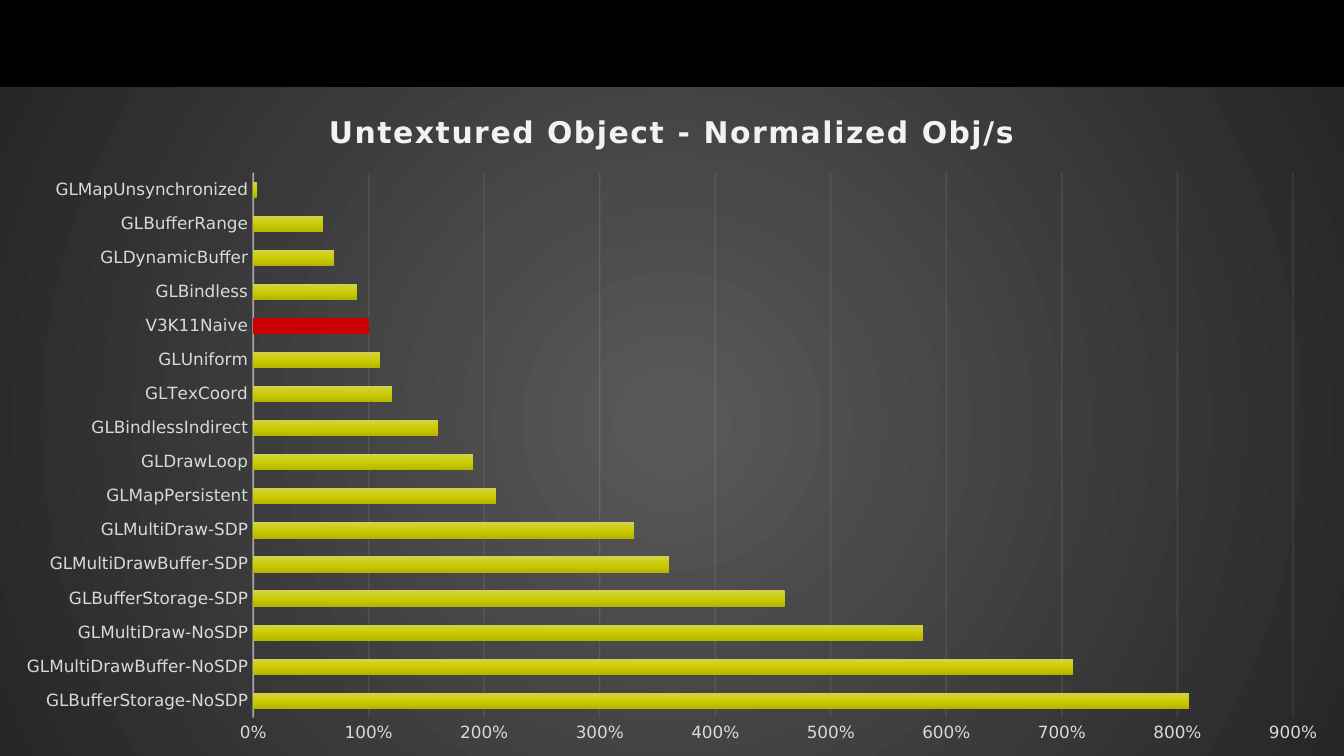
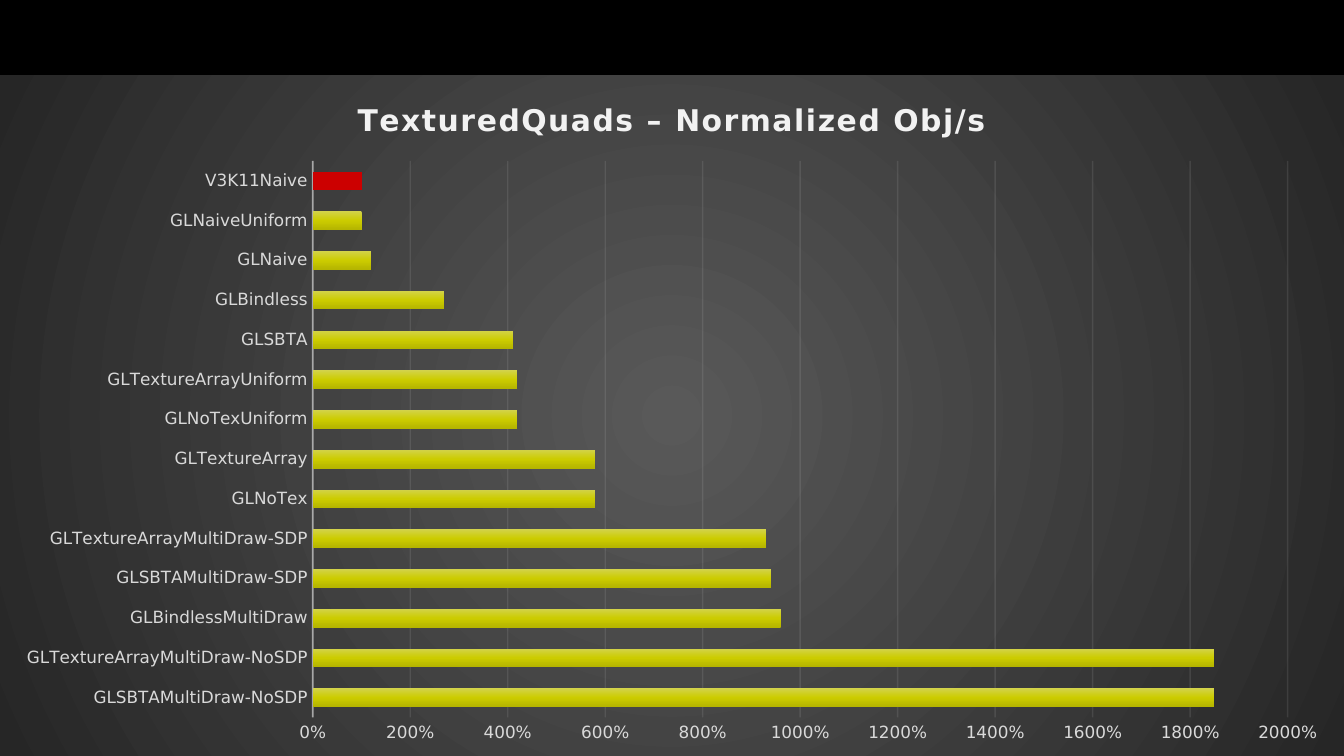
import lxml.etree
import pptx
import pptx.chart.data
import pptx.dml.color
import pptx.enum.chart
import pptx.oxml
import pptx.oxml.ns
import pptx.util

Cm = pptx.util.Cm
Pt = pptx.util.Pt
FONT = "DejaVu Sans"
COLOURS = {
    "backdrop": "000000", "text": "000000", "title": "F2F2F2", "label": "D9D9D9",
    "line": "F2F2F2", "baseline": "CC0000", "panel_centre": "595959",
    "panel_edge": "262626", "bar_top": "D3D34B", "bar_middle": "CCCC00",
    "bar_bottom": "B5B500",
}
SLIDE_WIDTH, SLIDE_HEIGHT = 25.4, 14.29
BASELINE = "V3K11Naive"

# Each entry: chart top in cm, axis maximum and step, results from bottom to top
BENCHMARKS = [
    {"title": "Untextured Object - Normalized Obj/s", "top": 1.65,
     "maximum": 9, "step": 1,
     "results": {
         "GLBufferStorage-NoSDP": 8.1, "GLMultiDrawBuffer-NoSDP": 7.1,
         "GLMultiDraw-NoSDP": 5.8, "GLBufferStorage-SDP": 4.6,
         "GLMultiDrawBuffer-SDP": 3.6, "GLMultiDraw-SDP": 3.3,
         "GLMapPersistent": 2.1, "GLDrawLoop": 1.9, "GLBindlessIndirect": 1.6,
         "GLTexCoord": 1.2, "GLUniform": 1.1, BASELINE: 1, "GLBindless": 0.9,
         "GLDynamicBuffer": 0.7, "GLBufferRange": 0.6, "GLMapUnsynchronized": 0.03}},
    {"title": "TexturedQuads – Normalized Obj/s", "top": 1.42,
     "maximum": 20, "step": 2,
     "results": {
         "GLSBTAMultiDraw-NoSDP": 18.5, "GLTextureArrayMultiDraw-NoSDP": 18.5,
         "GLBindlessMultiDraw": 9.6, "GLSBTAMultiDraw-SDP": 9.4,
         "GLTextureArrayMultiDraw-SDP": 9.3, "GLNoTex": 5.8, "GLTextureArray": 5.8,
         "GLNoTexUniform": 4.2, "GLTextureArrayUniform": 4.2, "GLSBTA": 4.1,
         "GLBindless": 2.7, "GLNaive": 1.2, "GLNaiveUniform": 1, BASELINE: 1}},
]


def rgb(name):
    return pptx.dml.color.RGBColor.from_string(COLOURS[name])


def style_font(font, size, colour, bold=False):
    font.name, font.size, font.bold = FONT, Pt(size), bold
    font.color.rgb = rgb(colour)


def gradient(names, direction):
    """Return a gradient fill with evenly spaced colours."""
    stops = "".join(
        f'<a:gs pos="{100000 * i // (len(names) - 1)}">'
        f'<a:srgbClr val="{COLOURS[name]}"/></a:gs>'
        for i, name in enumerate(names))
    return pptx.oxml.parse_xml(
        f'<a:gradFill {pptx.oxml.ns.nsdecls("a")} rotWithShape="1">'
        f"<a:gsLst>{stops}</a:gsLst>{direction}</a:gradFill>")


def style_line(line, width, colour_element_path, axis, opacity):
    line.width = Pt(width)
    line.color.rgb = rgb("line")
    for colour in axis._element.xpath(colour_element_path):
        alpha = lxml.etree.SubElement(colour, pptx.oxml.ns.qn("a:alpha"))
        alpha.set("val", str(opacity * 1000))


def fill_panel(chart):
    panel = pptx.oxml.parse_xml(
        f'<c:spPr {pptx.oxml.ns.nsdecls("c", "a")}><a:ln><a:noFill/></a:ln></c:spPr>')
    panel.insert(0, gradient(
        ["panel_centre", "panel_edge"],
        '<a:path path="circle"><a:fillToRect l="50000" t="50000" r="50000" b="50000"/></a:path>'))
    chart._chartSpace.find(pptx.oxml.ns.qn("c:chart")).addnext(panel)


def style_title(chart, wording):
    chart.has_title = True
    chart.chart_title.include_in_layout = False
    heading = chart.chart_title.text_frame.paragraphs[0]
    heading.text = wording
    style_font(heading.runs[0].font, 16, "title", bold=True)
    heading.runs[0]._r.get_or_add_rPr().set("spc", "100")


def style_axes(chart, maximum, step):
    methods, speed = chart.category_axis, chart.value_axis
    for axis in (methods, speed):
        axis.major_tick_mark = axis.minor_tick_mark = pptx.enum.chart.XL_TICK_MARK.NONE
        style_font(axis.tick_labels.font, 9, "label")
    methods.has_major_gridlines = False
    style_line(methods.format.line, 1, "c:spPr/a:ln//a:srgbClr", methods, 54)
    speed.minimum_scale, speed.maximum_scale, speed.major_unit = 0, maximum, step
    speed.tick_labels.number_format = "0%"
    speed.tick_labels.number_format_is_linked = False
    speed.format.line.fill.background()
    speed.has_major_gridlines = True
    style_line(speed.major_gridlines.format.line, 0.75,
               "c:majorGridlines//a:srgbClr", speed, 10)


def style_bars(chart, methods):
    plot = chart.plots[0]
    plot.gap_width, plot.overlap, plot.vary_by_categories = 115, -20, False
    bars = plot.series[0]
    bars.invert_if_negative = False
    bars._element.get_or_add_spPr().insert(0, gradient(
        ["bar_top", "bar_middle", "bar_bottom"], '<a:lin ang="5400000" scaled="0"/>'))
    baseline = bars.points[methods.index(BASELINE)].format.fill
    baseline.solid()
    baseline.fore_color.rgb = rgb("baseline")


def add_benchmark(slide, box, benchmark):
    results = benchmark["results"]
    data = pptx.chart.data.CategoryChartData(number_format="0%")
    data.categories = list(results)
    data.add_series("Series 1", list(results.values()))
    chart = slide.shapes.add_chart(
        pptx.enum.chart.XL_CHART_TYPE.BAR_CLUSTERED, *map(Cm, box), data).chart
    chart.has_legend = False
    style_font(chart.font, 10, "text")
    fill_panel(chart)
    style_title(chart, benchmark["title"])
    style_axes(chart, benchmark["maximum"], benchmark["step"])
    style_bars(chart, list(results))


def add_benchmark_slide(deck, benchmark):
    slide = deck.slides.add_slide(deck.slide_layouts[6])
    slide.background.fill.solid()
    slide.background.fill.fore_color.rgb = rgb("backdrop")
    # The chart fills the slide below the black band
    top = benchmark["top"]
    add_benchmark(slide, (0, top, SLIDE_WIDTH, SLIDE_HEIGHT - top), benchmark)


def main():
    deck = pptx.Presentation()
    deck.slide_width, deck.slide_height = Cm(SLIDE_WIDTH), Cm(SLIDE_HEIGHT)
    for benchmark in BENCHMARKS:
        add_benchmark_slide(deck, benchmark)
    deck.save("out.pptx")


if __name__ == "__main__":
    main()
